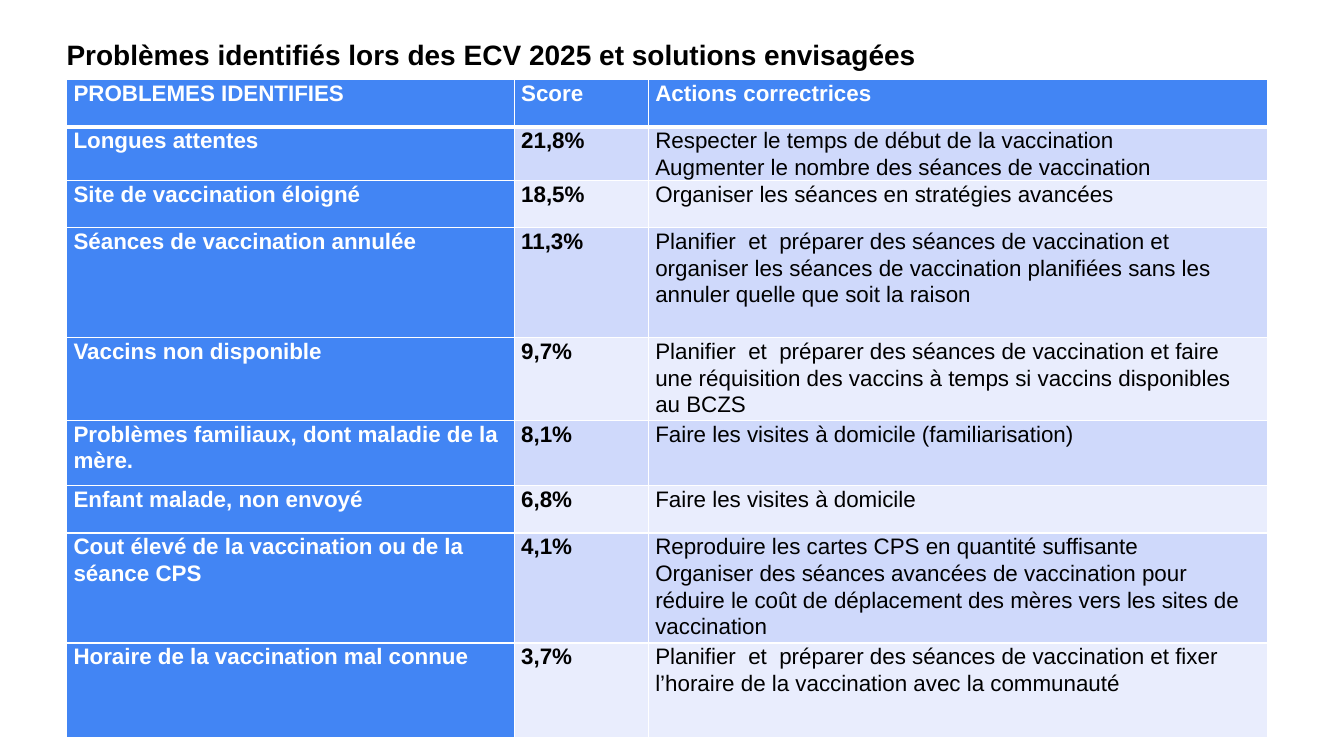
from pptx import Presentation
from pptx import util as u
from pptx.dml.color import RGBColor
from pptx.enum import text
from pptx.oxml import parse_xml
from pptx.oxml.ns import nsdecls

BLACK = RGBColor(0x00, 0x00, 0x00)
WHITE = RGBColor(0xFF, 0xFF, 0xFF)
BLUE = RGBColor(0x42, 0x85, 0xF4)
BAND_DARK = RGBColor(0xCF, 0xD9, 0xFB)
BAND_LIGHT = RGBColor(0xE9, 0xED, 0xFD)

HEADINGS = ("PROBLEMES IDENTIFIES", "Score", ["Actions correctrices"])
# Problem, score, corrective actions (one paragraph each)
PROBLEMS = [
    ("Longues attentes", "21,8%",
     ["Respecter le temps de début de la vaccination",
      "Augmenter le nombre des séances de vaccination"]),
    ("Site de vaccination éloigné", "18,5%",
     ["Organiser les séances en stratégies avancées"]),
    ("Séances de vaccination annulée", "11,3%",
     ["Planifier  et  préparer des séances de vaccination et organiser les séances "
      "de vaccination planifiées sans les annuler quelle que soit la raison"]),
    ("Vaccins non disponible", "9,7%",
     ["Planifier  et  préparer des séances de vaccination et faire une réquisition "
      "des vaccins à temps si vaccins disponibles au BCZS"]),
    ("Problèmes familiaux, dont maladie de la mère.", "8,1%",
     ["Faire les visites à domicile (familiarisation)"]),
    ("Enfant malade, non envoyé", "6,8%",
     ["Faire les visites à domicile"]),
    ("Cout élevé de la vaccination ou de la séance CPS", "4,1%",
     ["Reproduire les cartes CPS en quantité suffisante",
      "Organiser des séances avancées de vaccination pour réduire le coût de "
      "déplacement des mères vers les sites de vaccination"]),
    ("Horaire de la vaccination mal connue", "3,7%",
     ["Planifier  et  préparer des séances de vaccination et fixer l’horaire de la "
      "vaccination avec la communauté"]),
]
COLUMN_WIDTHS = (4.44, 1.33, 6.14)
ROW_HEIGHTS = (0.47, 0.53, 0.47, 1.09, 0.82, 0.65, 0.47, 1.09, 0.94)


def add_run(paragraph, words, size, color, bold):
    run = paragraph.add_run()
    run.text = words
    run.font.name = "Arial"
    run.font.size = u.Pt(size)
    run.font.bold = bold
    run.font.color.rgb = color


def add_border(cell, side, points):
    cell._tc.get_or_add_tcPr().append(parse_xml(
        f'<a:{side} {nsdecls("a")} w="{u.Pt(points)}"><a:solidFill>'
        f'<a:srgbClr val="{WHITE}"/></a:solidFill></a:{side}>'))


deck = Presentation()
deck.slide_width, deck.slide_height = u.Inches(13.33), u.Inches(7.5)
slide = deck.slides.add_slide(deck.slide_layouts[5])

# Title
title = slide.shapes.title
title.left, title.top = u.Inches(0.45), u.Inches(0.24)
title.width, title.height = u.Inches(12.42), u.Inches(0.83)
heading = title.text_frame
heading.word_wrap = True
heading.auto_size = text.MSO_AUTO_SIZE.NONE
heading.vertical_anchor = text.MSO_ANCHOR.TOP
heading.margin_left = u.Inches(0.21)
heading.margin_top = heading.margin_right = heading.margin_bottom = u.Inches(0.13)
heading.paragraphs[0].alignment = text.PP_ALIGN.LEFT
add_run(heading.paragraphs[0],
        "Problèmes identifiés lors des ECV 2025 et solutions envisagées", 20, BLACK, True)

# Table of problems and actions
problems = slide.shapes.add_table(
    len(ROW_HEIGHTS), len(COLUMN_WIDTHS), u.Inches(0.66), u.Inches(0.79),
    u.Inches(sum(COLUMN_WIDTHS)), u.Inches(sum(ROW_HEIGHTS))).table
for column, width in zip(problems.columns, COLUMN_WIDTHS):
    column.width = u.Inches(width)
for row, height in zip(problems.rows, ROW_HEIGHTS):
    row.height = u.Inches(height)

for r, (problem, score, actions) in enumerate([HEADINGS] + PROBLEMS):
    for c, lines in enumerate(([problem], [score], actions)):
        cell = problems.cell(r, c)
        cell.margin_left = cell.margin_right = u.Inches(0.07)
        cell.margin_top = cell.margin_bottom = 0

        # White rules, thicker under the heading row
        add_border(cell, "lnL", 1)
        add_border(cell, "lnR", 1)
        add_border(cell, "lnT", 3 if r == 1 else 1)
        add_border(cell, "lnB", 3 if r == 0 else 1)

        # Blue heading row and first column, banded body
        on_blue = r == 0 or c == 0
        cell.fill.solid()
        cell.fill.fore_color.rgb = BLUE if on_blue else BAND_DARK if r % 2 else BAND_LIGHT

        for i, line in enumerate(lines):
            frame = cell.text_frame
            paragraph = frame.add_paragraph() if i else frame.paragraphs[0]
            paragraph.line_spacing = 1.07
            add_run(paragraph, line, 16, WHITE if on_blue else BLACK, on_blue or c == 1)

deck.save("out.pptx")
